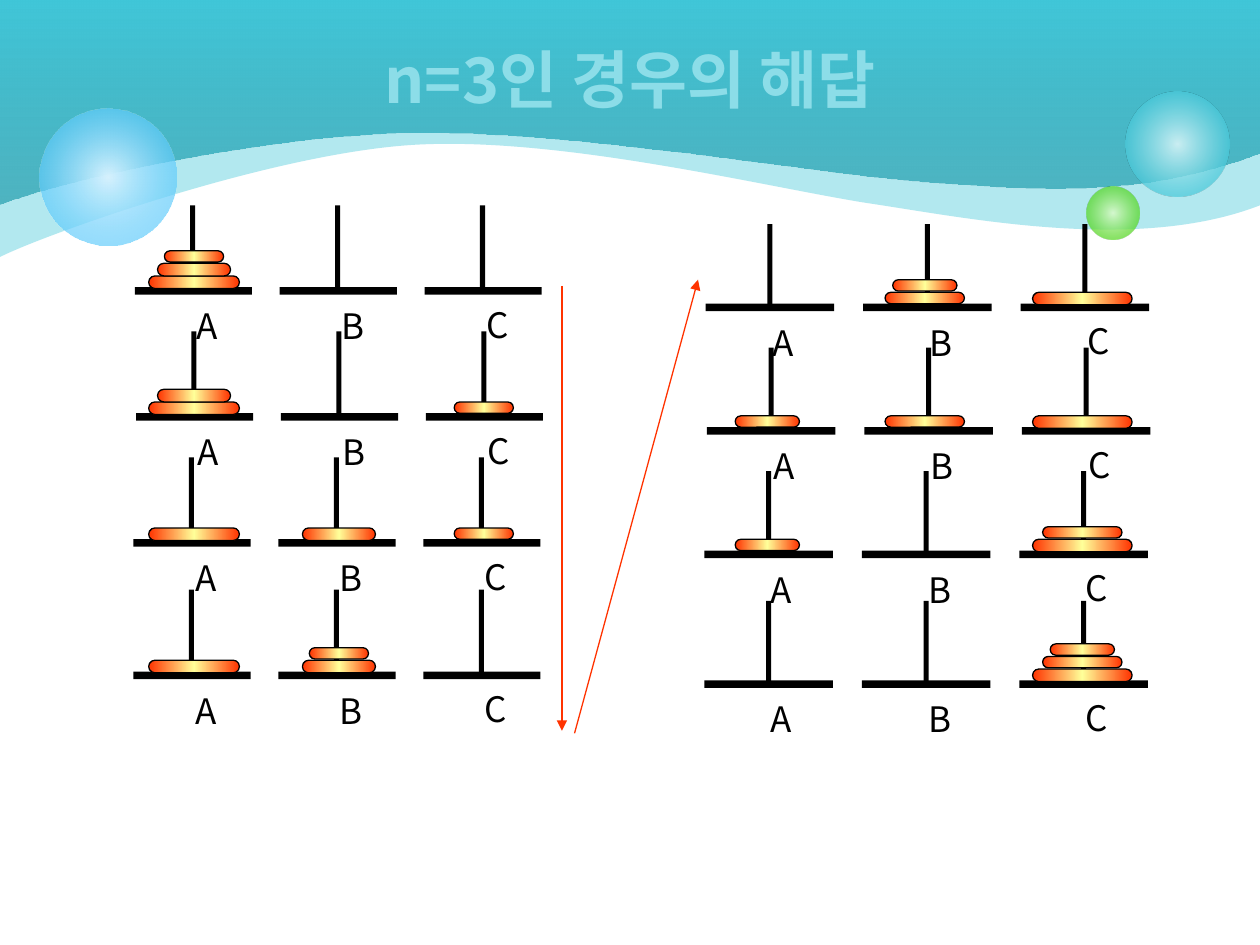
from lxml import etree
from pptx import Presentation
from pptx.dml.color import RGBColor
from pptx.enum import shapes, text
from pptx.oxml import ns
from pptx.util import Inches, Pt

# Content
TITLE = "n=3인 경우의 해답"
FONT = "Noto Sans CJK KR"
COLORS = {"black": "000000", "red": "FF3300", "yellow": "FFFF99",
          "title": "8CDDE8", "aqua": "40C6D8", "teal": "249EAE",
          "aqua_light": "D9F4F7", "green": "4CD416", "green_light": "DAFACD",
          "blue": "33BDFB", "blue_light": "D6F2FE"}
PEGS = [("A", 0.4, 0.09), ("B", 0.37, 0.09), ("C", 0.39, 0.08)]  # name, width, drop

# Disks by size: 3 large, 2 medium, 1 small; each peg lists bottom to top.
# Each state: (row shift, base top, disks on A, B and C)
PANELS = [
    dict(left=1.07, pitch=1.15, base=0.93, pole=0.44, height=0.68, label=0.39,
         centre=0.47, disks={3: (0.72, 0.1), 2: (0.58, 0.1), 1: (0.47, 0.09)},
         states=[(0, 2.28, ([3, 2, 1], [], [])),
                 (0.01, 3.28, ([3, 2], [], [1])),
                 (-0.01, 4.28, ([3], [2], [1])),
                 (-0.01, 5.33, ([3], [2, 1], []))]),
    dict(left=5.6, pitch=1.25, base=1.02, pole=0.49, height=0.66, label=0.43,
         centre=0.49, disks={3: (0.79, 0.1), 2: (0.63, 0.09), 1: (0.51, 0.09)},
         states=[(0, 2.41, ([], [2, 1], [3])),
                 (0.01, 3.39, ([1], [2], [3])),
                 (-0.01, 4.37, ([1], [], [3, 2])),
                 (-0.01, 5.4, ([], [], [3, 2, 1]))]),
]
ARROWS = [(4.46, 2.27, 4.46, 5.8), (4.56, 5.82, 5.54, 2.22)]

# Wave edges: start height, then cubic curves of two controls and an end
WAVES = [
    (2.04, [(0.33, 1.87), (2.14, 1.22), (3.28, 1.15),
            (4.43, 1.08), (6.06, 1.48), (6.87, 1.61),
            (7.68, 1.73), (9.02, 2.01), (10, 1.63)],
     [(0, "aqua", 40)]),
    (1.62, [(0.45, 1.44), (2.03, 1.08), (3.26, 1.05),
            (4.49, 1.02), (6.58, 1.39), (7.37, 1.44),
            (8.16, 1.49), (9.02, 1.59), (10, 1.21)],
     [(0, "teal", 69), (100, "aqua", 100)]),
]
BUBBLES = [
    (8.93, 0.73, 0.83, [(0, "aqua_light", 90), (76, "aqua", 70)]),
    (8.62, 1.48, 0.42, [(0, "green_light", 90), (76, "green", 70)]),
    (0.31, 0.86, 1.09, [(0, "blue_light", 100), (100, "blue", 54)]),
]
DISK_STOPS = [(0, "red", 100), (50, "yellow", 100), (100, "red", 100)]


def rgb(name):
    return RGBColor.from_string(COLORS[name])


def sub(parent, tag, **attributes):
    child = etree.SubElement(parent, ns.qn(tag))
    for key, value in attributes.items():
        child.set(key, str(value))
    return child


def paint(shape, stops, angle=None):
    """Fill with (percent, colour, opacity) stops; one is solid, no angle is radial."""
    if len(stops) == 1:
        _, color, opacity = stops[0]
        shape.fill.solid()
        shape.fill.fore_color.rgb = rgb(color)
        solid = shape.element.spPr.find(ns.qn("a:solidFill"))
        sub(solid[0], "a:alpha", val=opacity * 1000)
        return
    shape.fill.gradient()
    fill = shape.element.spPr.find(ns.qn("a:gradFill"))
    for child in list(fill):
        fill.remove(child)
    stop_list = sub(fill, "a:gsLst")
    for position, color, opacity in stops:
        stop = sub(stop_list, "a:gs", pos=position * 1000)
        sub(sub(stop, "a:srgbClr", val=COLORS[color]), "a:alpha", val=opacity * 1000)
    if angle is None:
        centre = sub(fill, "a:path", path="circle")
        sub(centre, "a:fillToRect", l=50000, t=50000, r=50000, b=50000)
    else:
        sub(fill, "a:lin", ang=angle * 60000, scaled=0)


def plain(shape):
    shape.shadow.inherit = False
    shape.line.fill.background()
    return shape


def add(parent, kind, x, y, w, h):
    return plain(parent.shapes.add_shape(
        kind, Inches(x), Inches(y), Inches(w), Inches(h)))


def bar(parent, x, y, w, h):
    shape = add(parent, shapes.MSO_SHAPE.RECTANGLE, x, y, w, h)
    shape.fill.solid()
    shape.fill.fore_color.rgb = rgb("black")


def disk(parent, x, y, w, h):
    shape = add(parent, shapes.MSO_SHAPE.ROUNDED_RECTANGLE, x, y, w, h)
    shape.adjustments[0] = 0.5
    paint(shape, DISK_STOPS, angle=0)
    shape.line.color.rgb = rgb("black")
    shape.line.width = Pt(0.75)


def write(shape, words, size=20, color="black", bold=False, align=None,
          auto_size=text.MSO_AUTO_SIZE.SHAPE_TO_FIT_TEXT, wrap=False):
    frame = shape.text_frame
    frame.word_wrap = wrap
    frame.auto_size = auto_size
    paragraph = frame.paragraphs[0]
    paragraph.alignment = align
    run = paragraph.add_run()
    run.text = words
    font = run.font
    font.size, font.bold, font.name = Pt(size), bold, FONT
    font.color.rgb = rgb(color)
    sub(font._element, "a:ea", typeface=FONT)


def add_wave(slide, height, edge, stops):
    """Outline the wave, then turn each three edge points into one cubic curve."""
    builder = slide.shapes.build_freeform(0, 0)
    builder.add_line_segments([(Inches(x), Inches(y))
                               for x, y in [(0, height), *edge, (10, 0)]])
    wave = plain(builder.convert_to_shape())
    lines = list(wave.element.iter(ns.qn("a:lnTo")))[1:len(edge) + 1]
    for first in range(0, len(edge), 3):
        curve = etree.Element(ns.qn("a:cubicBezTo"))
        lines[first].addprevious(curve)
        for line in lines[first:first + 3]:
            curve.append(line[0])
            line.getparent().remove(line)
    paint(wave, stops, angle=270)


def add_panel(slide, panel):
    group = slide.shapes.add_group_shape()
    for shift, top, state in panel["states"]:
        for column, ((name, width, drop), stack) in enumerate(zip(PEGS, state)):
            home = panel["left"] + column * panel["pitch"]
            x = home + shift
            bar(group, x, top, panel["base"], 0.06)
            bar(group, x + panel["pole"], top + 0.03 - panel["height"],
                0.04, panel["height"])
            for level, size in enumerate(stack):
                w, h = panel["disks"][size]
                disk(group, home + panel["centre"] - w / 2,
                     top - 0.09 - level * 0.1, w, h)
            label = group.shapes.add_textbox(
                Inches(x + panel["label"]), Inches(top + drop),
                Inches(width), Inches(0.43))
            write(label, name)


prs = Presentation()
prs.slide_width, prs.slide_height = Inches(10), Inches(7.5)
slide = prs.slides.add_slide(prs.slide_layouts[5])

# Waves and bubbles
for height, edge, stops in WAVES:
    add_wave(slide, height, edge, stops)
for x, y, size, stops in BUBBLES:
    paint(add(slide, shapes.MSO_SHAPE.OVAL, x, y, size, size), stops)

# Left panel, title, right panel
add_panel(slide, PANELS[0])
title = slide.shapes.title
title.left, title.top, title.width, title.height = (
    Inches(0.5), Inches(0), Inches(9), Inches(1.25))
title.text_frame.vertical_anchor = text.MSO_ANCHOR.MIDDLE
write(title, TITLE, size=36, color="title", bold=True, wrap=True,
      align=text.PP_ALIGN.CENTER, auto_size=text.MSO_AUTO_SIZE.NONE)
title.element.getparent().append(title.element)
add_panel(slide, PANELS[1])

# Reading order arrows
for ends in ARROWS:
    arrow = slide.shapes.add_connector(
        shapes.MSO_CONNECTOR.STRAIGHT, *(Inches(value) for value in ends))
    arrow.line.color.rgb = rgb("red")
    arrow.line.width = Pt(0.75)
    sub(arrow.line._get_or_add_ln(), "a:tailEnd", type="triangle")
    sub(arrow.element.spPr, "a:effectLst")

prs.save("out.pptx")
